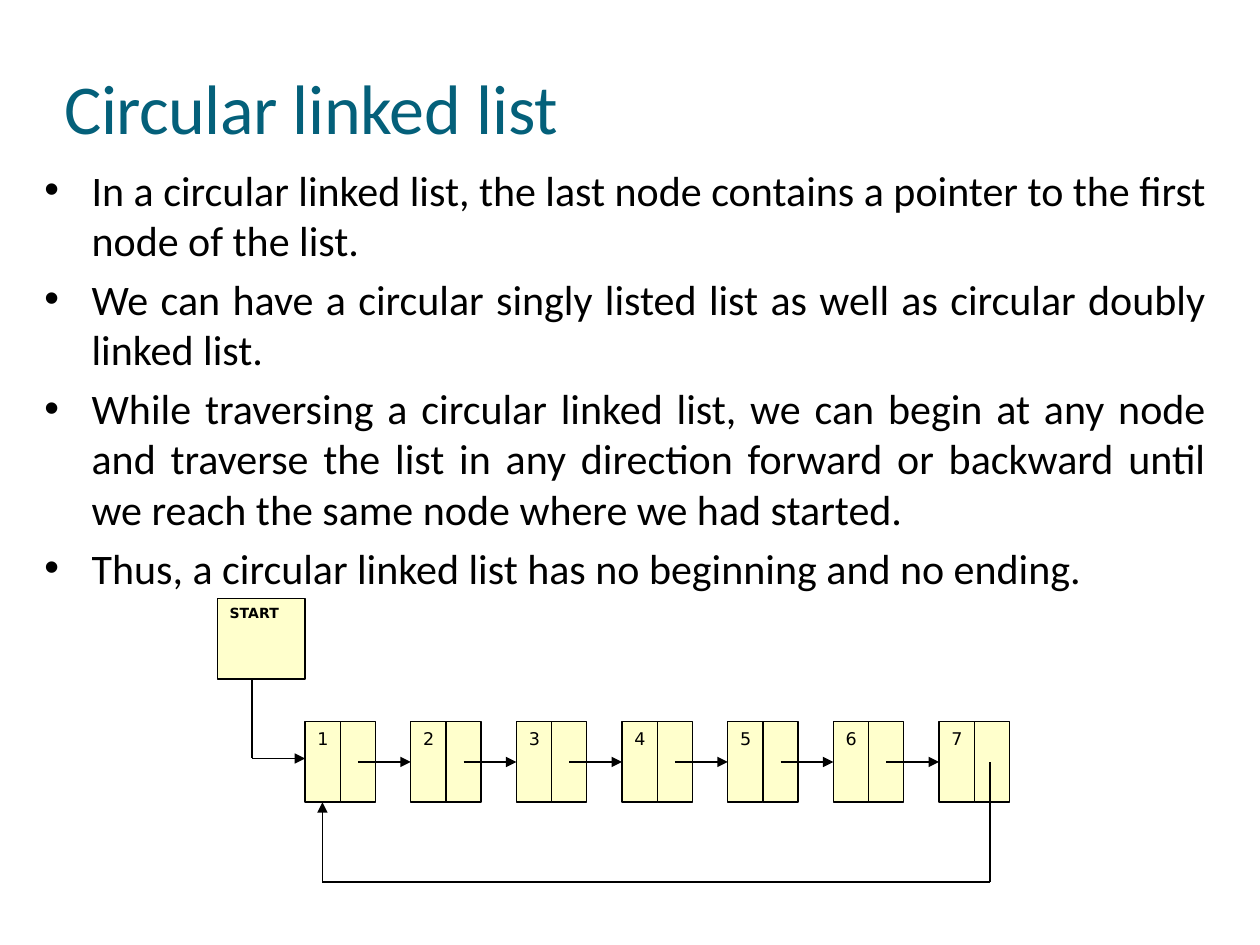
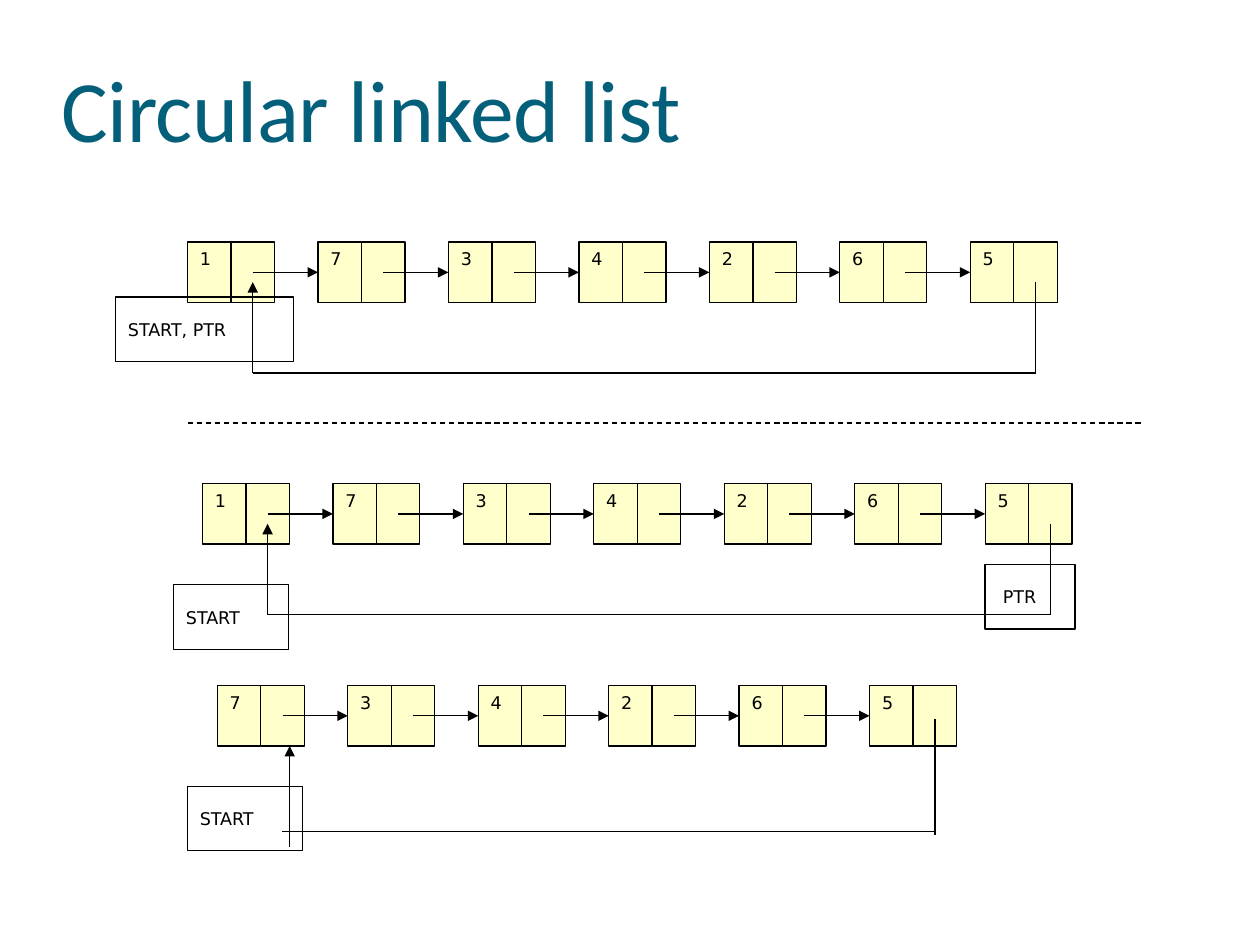
from dataclasses import dataclass

from pptx import Presentation
from pptx.dml.color import RGBColor
from pptx.enum.dml import MSO_LINE
from pptx.enum.shapes import MSO_CONNECTOR, MSO_SHAPE
from pptx.enum.text import MSO_ANCHOR, MSO_AUTO_SIZE, PP_ALIGN
from pptx.oxml.ns import qn
from pptx.util import Cm, Pt


@dataclass(frozen=True)
class Theme:
    title: RGBColor = RGBColor(0x04, 0x60, 0x7A)
    ink: RGBColor = RGBColor(0, 0, 0)
    node: RGBColor = RGBColor(0xFF, 0xFF, 0xCC)
    text_font: str = "Calibri"
    label_font: str = "DejaVu Sans"
    body: Pt = Pt(24)
    label: Pt = Pt(10)
    start: Pt = Pt(8)
    rule: Pt = Pt(0.75)


theme = Theme()


def add_box(s, x, y, w, h, text="", fill=None, anchor=MSO_ANCHOR.TOP,
            size=theme.label, bold=False, inset=0.25):
    """Outlined rectangle in cm, left-aligned text, no fill unless given."""
    sp = s.shapes.add_shape(MSO_SHAPE.RECTANGLE, Cm(x), Cm(y), Cm(w), Cm(h))
    sp.shadow.inherit = False
    sp.line.color.rgb = theme.ink
    sp.line.width = theme.rule
    if fill is None:
        sp.fill.background()
    else:
        sp.fill.solid()
        sp.fill.fore_color.rgb = fill
    if text:
        tf = sp.text_frame
        tf.margin_left = Cm(inset)
        tf.vertical_anchor = anchor
        p = tf.paragraphs[0]
        p.text = text
        p.alignment = PP_ALIGN.LEFT
        p.font.name = theme.label_font
        p.font.size = size
        p.font.bold = bold
        p.font.color.rgb = theme.ink


def add_path(s, *points, arrow=True, dash=False):
    """Straight connectors through points in cm, arrowhead on the last one."""
    for i, (a, b) in enumerate(zip(points, points[1:]), start=2):
        c = s.shapes.add_connector(MSO_CONNECTOR.STRAIGHT, Cm(a[0]), Cm(a[1]), Cm(b[0]), Cm(b[1]))
        c.line.color.rgb = theme.ink
        c.line.width = theme.rule
        if dash:
            c.line.dash_style = MSO_LINE.DASH
        sp_pr = c._element.spPr
        if arrow and i == len(points):
            ln = sp_pr.find(qn("a:ln"))
            ln.append(ln.makeelement(qn("a:tailEnd"), {"type": "triangle"}))
        sp_pr.append(sp_pr.makeelement(qn("a:effectLst"), {}))


prs = Presentation()
prs.slide_width, prs.slide_height = Cm(25.4), Cm(19.05)
intro = prs.slides.add_slide(prs.slide_layouts[1])
steps = prs.slides.add_slide(prs.slide_layouts[5])

# Titles: the words are spaced slightly differently
for s, left, top, height, size in ((intro, 1.3, 1.27, 1.75, 40), (steps, 1.24, 1.07, 2.18, 50)):
    sp = s.shapes.title
    sp.left, sp.top, sp.width, sp.height = Cm(left), Cm(top), Cm(15.34), Cm(height)
    tf = sp.text_frame
    tf.margin_left = tf.margin_right = tf.margin_bottom = 0
    tf.margin_top = Cm(0.03)
    tf.vertical_anchor = MSO_ANCHOR.TOP
    tf.auto_size = MSO_AUTO_SIZE.SHAPE_TO_FIT_TEXT
    p = tf.paragraphs[0]
    p.alignment = PP_ALIGN.LEFT
    p.font.name = theme.text_font
    p.font.size = Pt(size)
    p.font.color.rgb = theme.title
    for word, spacing in (("Circular ", -30), ("linked ", -20), ("list", -10)):
        r = p.add_run()
        r.text = word
        r._r.get_or_add_rPr().set("spc", str(spacing))

# Bulleted explanation
points = (
    "In a circular linked list, the last node contains a pointer to the first node of the list.",
    "We can have a circular singly listed list as well as circular doubly linked list.",
    "While traversing a circular linked list, we can begin at any node and traverse the list "
    "in any direction forward or backward until we reach the same node where we had started.",
    "Thus, a circular linked list has no beginning and no ending.",
)
sp = intro.placeholders[1]
sp.left, sp.top, sp.width, sp.height = Cm(0.64), Cm(3.18), Cm(23.93), Cm(7.19)
tf = sp.text_frame
tf.auto_size = MSO_AUTO_SIZE.NONE
for i, text in enumerate(points):
    p = tf.paragraphs[0] if i == 0 else tf.add_paragraph()
    p.text = text
    p.alignment = PP_ALIGN.JUSTIFY
    if i == 0:
        p.space_before = Pt(0)
    p.font.name = theme.text_font
    p.font.size = theme.body
    p.font.color.rgb = theme.ink

# Linked lists: each node is a value cell and a link cell, then a gap of one cell
lists = (
    (intro, 6.15, 14.55, 2.13, 1.62, "1234567"),
    (steps, 3.78, 4.88, 2.63, 1.22, "1734265"),
    (steps, 4.08, 9.75, 2.63, 1.22, "1734265"),
    (steps, 4.38, 13.82, 2.63, 1.22, "734265"),
)
for s, left, top, pitch, height, values in lists:
    cell = pitch / 3
    for i, value in enumerate(values):
        x = left + i * pitch
        add_box(s, x, top, cell, height, value, theme.node)
        add_box(s, x + cell, top, cell, height, fill=theme.node)
        if i < len(values) - 1:
            y = top + height / 2
            add_path(s, (x + 1.5 * cell, y), (x + pitch, y))

# Links from the last node back to the first
add_path(intro, (19.96, 15.37), (19.96, 17.78), (6.5, 17.78), (6.5, 16.17))
for s, left, top, pitch, height, values in lists[1:3]:
    first = left + pitch / 2
    last = first + (len(values) - 1) * pitch
    add_path(s, (last, top + 0.81), (last, top + 2.64), (first, top + 2.64), (first, top + 0.81))
add_path(steps, (18.85, 14.5), (18.85, 16.84), arrow=False)
add_path(steps, (18.85, 16.76), (5.69, 16.76), arrow=False)
add_path(steps, (5.84, 17.07), (5.84, 15.04))

# Start pointer
add_box(intro, 4.38, 12.07, 1.77, 1.62, "START", theme.node, size=theme.start, bold=True)
add_path(intro, (5.08, 13.69), (5.08, 15.29), (6.15, 15.29))

# Pointer labels and divider
for text, x, y, w, inset in (
    ("START, PTR", 2.33, 5.99, 3.59, 0.25),
    ("START", 3.5, 11.79, 2.32, 0.25),
    ("PTR", 19.86, 11.38, 1.81, 0.36),
    ("START", 3.78, 15.85, 2.32, 0.25),
):
    add_box(steps, x, y, w, 1.3, text, anchor=MSO_ANCHOR.MIDDLE, inset=inset)
add_path(steps, (3.78, 8.53), (23.06, 8.53), arrow=False, dash=True)

prs.save("out.pptx")
